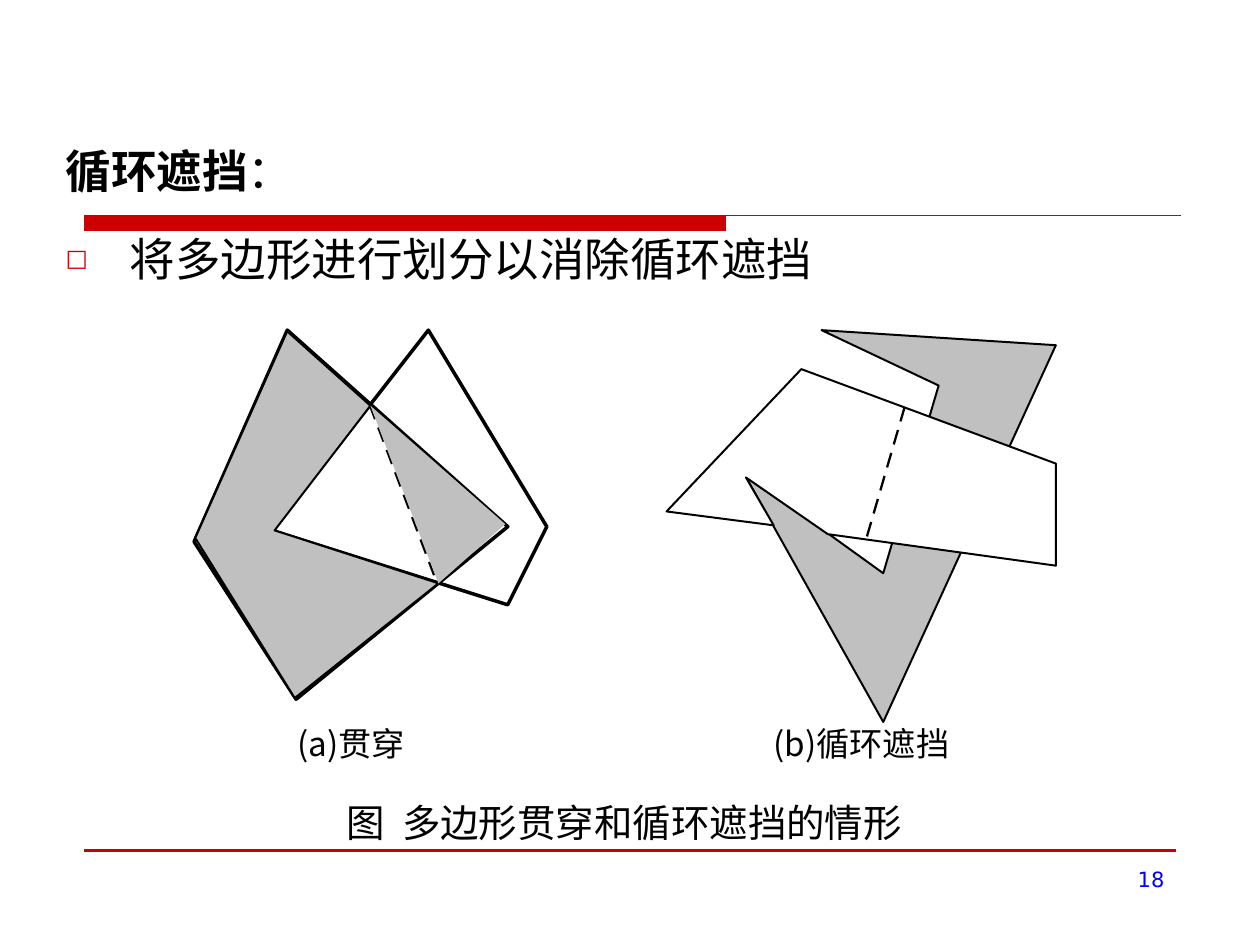
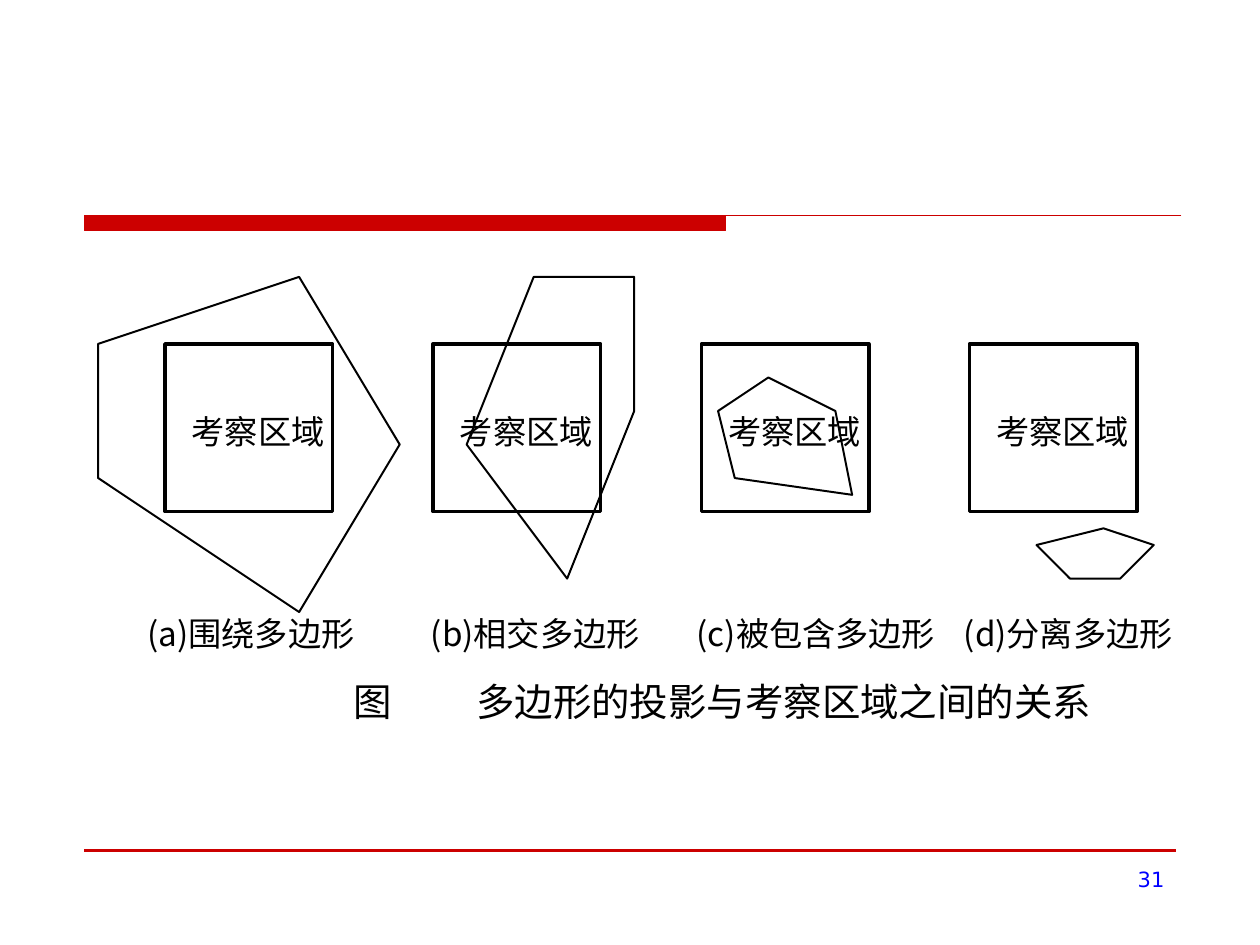
from dataclasses import dataclass

from lxml import etree
from pptx import Presentation
from pptx import util as u
from pptx.dml.color import RGBColor
from pptx.enum import shapes, text
from pptx.oxml import ns


@dataclass(frozen=True)
class Theme:
    red: str = "CC0000"
    ink: str = "000000"
    gray: str = "C0C0C0"
    white: str = "FFFFFF"
    number: str = "0000FF"
    latin: str = "DejaVu Sans"
    chinese: str = "Noto Sans CJK SC"
    body_size: int = 26
    caption_size: int = 22
    label_size: int = 19
    number_size: int = 12
    thin: float = 1.13
    thick: float = 2
    dash: float = 1.3


def add_xml(parent, tag, **attributes):
    """Append one DrawingML element and return it."""
    return etree.SubElement(parent, ns.qn(tag), attributes)


class SlideBuilder:
    """Draws on the current slide; lengths are cells of a 100 x 75 grid."""

    columns, rows = 100, 75

    def __init__(self, deck, theme):
        self.deck, self.theme = deck, theme
        self.page = None

    def x(self, column):
        return u.Emu(round(self.deck.slide_width * column / self.columns))

    def y(self, row):
        return u.Emu(round(self.deck.slide_height * row / self.rows))

    def frame(self, left, top, width, height):
        return self.x(left), self.y(top), self.x(width), self.y(height)

    # Pages and what they share
    def new_page(self, layout, number):
        self.page = self.deck.slides.add_slide(self.deck.slide_layouts[layout])
        # Band whose top edge runs on as a thin rule
        self.polygon([(6.7, 17.1), (93.7, 17.1), (57.6, 17.1), (57.6, 18.3), (6.7, 18.3)],
                     self.theme.red, self.theme.red, 0.75)
        self.line((6.7, 67.5), (93.3, 67.5), self.theme.red, 2.25)
        box = self.text(str(number), (71.7, 68.3, 21.7, 5.2), self.theme.number_size,
                        self.theme.latin, self.theme.number, wrap=True, insets=(0.1, 0.05))
        box.text_frame.paragraphs[0].alignment = text.PP_ALIGN.RIGHT

    # Styling
    def paint(self, shape, fill=None, line=None, weight=1.0):
        shape.shadow.inherit = False
        if fill:
            shape.fill.solid()
            shape.fill.fore_color.rgb = RGBColor.from_string(fill)
        else:
            shape.fill.background()
        if line:
            shape.line.color.rgb = RGBColor.from_string(line)
            shape.line.width = u.Pt(weight)
        else:
            shape.line.fill.background()

    def style(self, span, size, font, color, bold=False):
        span.font.size, span.font.name, span.font.bold = u.Pt(size), font, bold
        span.font.color.rgb = RGBColor.from_string(color)
        add_xml(span.font._element, "a:ea", typeface=self.theme.chinese)

    # Text
    def text(self, words, place, size, font=None, color=None, wrap=False, insets=(0, 0)):
        box = self.page.shapes.add_textbox(*self.frame(*place))
        body = box.text_frame
        body.word_wrap = wrap
        if not wrap:
            body.auto_size = text.MSO_AUTO_SIZE.SHAPE_TO_FIT_TEXT
        body.margin_left = body.margin_right = u.Inches(insets[0])
        body.margin_top = body.margin_bottom = u.Inches(insets[1])
        body.text = words
        self.style(body.paragraphs[0].runs[0], size,
                   font or self.theme.chinese, color or self.theme.ink)
        return box

    def label(self, words, left, top, width):
        self.text(words, (left, top, width, 3.2), self.theme.label_size)

    def caption(self, words, left, top, width):
        self.text(words, (left, top, width, 3.7), self.theme.caption_size)

    def heading_and_list(self, heading, mark, items, place):
        title = self.page.shapes.title
        title._element.getparent().remove(title._element)
        holder = self.page.placeholders[1]
        holder.left, holder.top, holder.width, holder.height = self.frame(*place)
        body = holder.text_frame
        body.auto_size = text.MSO_AUTO_SIZE.NONE
        body.text = "\n".join([heading, *items])
        body.paragraphs[0].add_run().text = mark
        for index, paragraph in enumerate(body.paragraphs):
            paragraph.alignment = text.PP_ALIGN.JUSTIFY
            paragraph.line_spacing = 1.2
            paragraph.space_before = u.Pt(12.5 if index else 0)
            properties = paragraph._p.get_or_add_pPr()
            properties.set("marL", str(u.Inches(0.51)))
            properties.set("indent", str(u.Inches(-0.51)))
            if index:
                add_xml(add_xml(properties, "a:buClr"), "a:srgbClr", val=self.theme.red)
                add_xml(properties, "a:buSzPct", val="52000")
                add_xml(properties, "a:buFont", typeface=self.theme.latin)
                add_xml(properties, "a:buChar", char="□")
            else:
                add_xml(properties, "a:buNone")
            for position, span in enumerate(paragraph.runs):
                self.style(span, self.theme.body_size, self.theme.latin,
                           self.theme.ink, bold=index == position == 0)

    # Drawing
    def line(self, start, end, color, weight, dashed=False):
        connector = self.page.shapes.add_connector(
            shapes.MSO_CONNECTOR.STRAIGHT, self.x(start[0]), self.y(start[1]),
            self.x(end[0]), self.y(end[1]))
        connector.line.color.rgb = RGBColor.from_string(color)
        connector.line.width = u.Pt(weight)
        if dashed:
            pattern = add_xml(connector.line._get_or_add_ln(), "a:custDash")
            add_xml(pattern, "a:ds", d="660000", sp="390000")
        add_xml(connector._element.spPr, "a:effectLst")

    def polygon(self, points, fill=None, line=None, weight=1.0):
        corners = [(self.x(column), self.y(row)) for column, row in points]
        outline = self.page.shapes.build_freeform(*corners[0])
        outline.add_line_segments(corners[1:], close=True)
        self.paint(outline.convert_to_shape(), fill, line, weight)

    def square(self, left, top, side):
        shape = self.page.shapes.add_shape(
            shapes.MSO_SHAPE.RECTANGLE, *self.frame(left, top, side, side))
        self.paint(shape, None, self.theme.ink, self.theme.thick)


def cyclic_occlusion(builder):
    theme = builder.theme
    builder.new_page(layout=1, number=18)
    builder.heading_and_list("循环遮挡", "：", ["将多边形进行划分以消除循环遮挡"],
                             (4.2, 10, 85, 16.7))
    builder.caption("图  多边形贯穿和循环遮挡的情形", 27.5, 63.4, 44.1)

    # (a) two polygons passing through each other
    crossing, lower = (29.4, 32.2), (34.8, 46.3)
    builder.polygon([(21.6, 42.1), (34, 26.2), (43.4, 41.8), (40.3, 48)],
                    line=theme.ink, weight=theme.thick)
    builder.polygon([(22.8, 26.2), (40.3, 41.8), (23.5, 55.5), (15.4, 43)],
                    line=theme.ink, weight=theme.thick)
    builder.line((29.35, 32.15), (34.45, 45.65), theme.ink, theme.dash, dashed=True)
    builder.label("(a)贯穿", 23.6, 57.4, 9.2)
    builder.polygon([crossing, (22.8, 26.3), (15.5, 42.7), (23.4, 55.4), lower, (21.8, 42.1)],
                    theme.gray, theme.ink, theme.thin)
    builder.polygon([crossing, (40.1, 41.6), lower], theme.gray)

    # (b) two polygons hiding parts of each other
    builder.polygon([(65.2, 26.2), (74.5, 30.6), (70.1, 45.5), (59, 37.5),
                     (70.1, 57.3), (83.8, 27.4)], theme.gray, theme.ink, theme.thin)
    builder.polygon([(63.6, 29.3), (83.8, 36.8), (83.8, 44.9), (65.7, 42.4),
                     (59.2, 37.9), (61.4, 41.7), (52.9, 40.6)],
                    theme.white, theme.ink, theme.thin)
    builder.line((71.8, 32.3), (68.8, 42.6), theme.ink, theme.dash, dashed=True)
    builder.label("(b)循环遮挡", 61.4, 57.4, 14.6)


def region_relations(builder):
    theme = builder.theme
    builder.new_page(layout=6, number=31)
    builder.caption("图", 28.1, 53.8, 4.4)
    builder.caption("多边形的投影与考察区域之间的关系", 37.8, 53.8, 48.8)

    # Corners count in units from the top left of each region, five units wide
    unit, first, top = 2.66, 13.1, 27.3
    relations = [
        ("(a)围绕多边形", 11.7, 17.2, [(4, -2), (-2, 0), (-2, 4), (4, 8), (7, 3)]),
        ("(b)相交多边形", 34.2, 17.3, [(3, -2), (1, 3), (4, 7), (6, 2), (6, -2)]),
        ("(c)被包含多边形", 55.3, 19.7, [(2, 1), (0.5, 2), (1, 4), (4.5, 4.5), (4, 2)]),
        ("(d)分离多边形", 76.5, 17.3, [(2, 6), (4, 5.5), (5.5, 6), (4.5, 7), (3, 7)]),
    ]
    for index, (name, name_left, name_width, corners) in enumerate(relations):
        left = first + index * 8 * unit
        builder.square(left, top, 5 * unit)
        builder.label("考察区域", left + 0.8 * unit, top + 2 * unit, 10.7)
        builder.polygon([(left + across * unit, top + down * unit) for across, down in corners],
                        line=theme.ink, weight=theme.thin)
        builder.label(name, name_left, 48.7, name_width)


def main():
    deck = Presentation()
    deck.slide_width, deck.slide_height = u.Inches(10), u.Inches(7.5)
    builder = SlideBuilder(deck, Theme())
    cyclic_occlusion(builder)
    region_relations(builder)
    deck.save("out.pptx")


if __name__ == "__main__":
    main()
